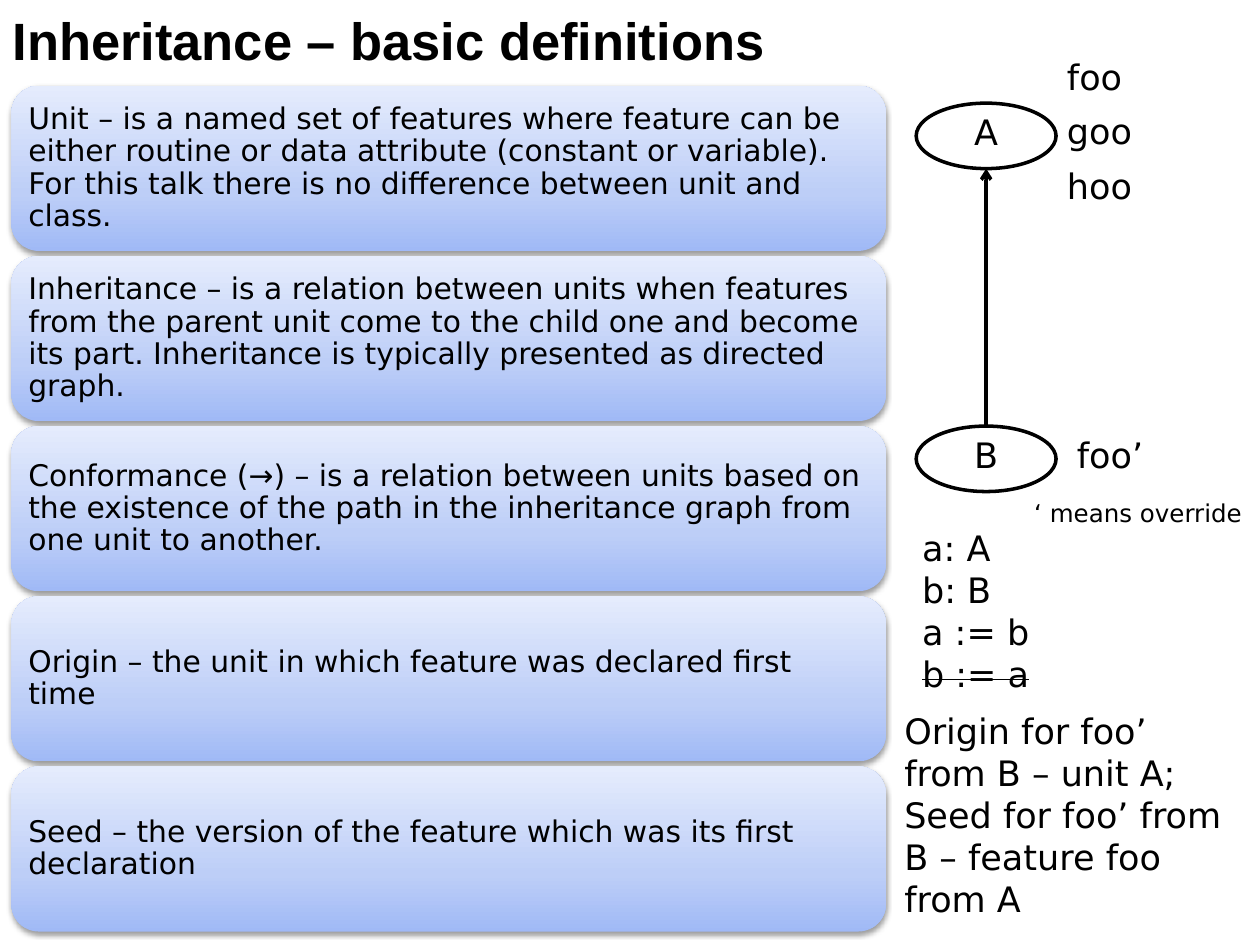
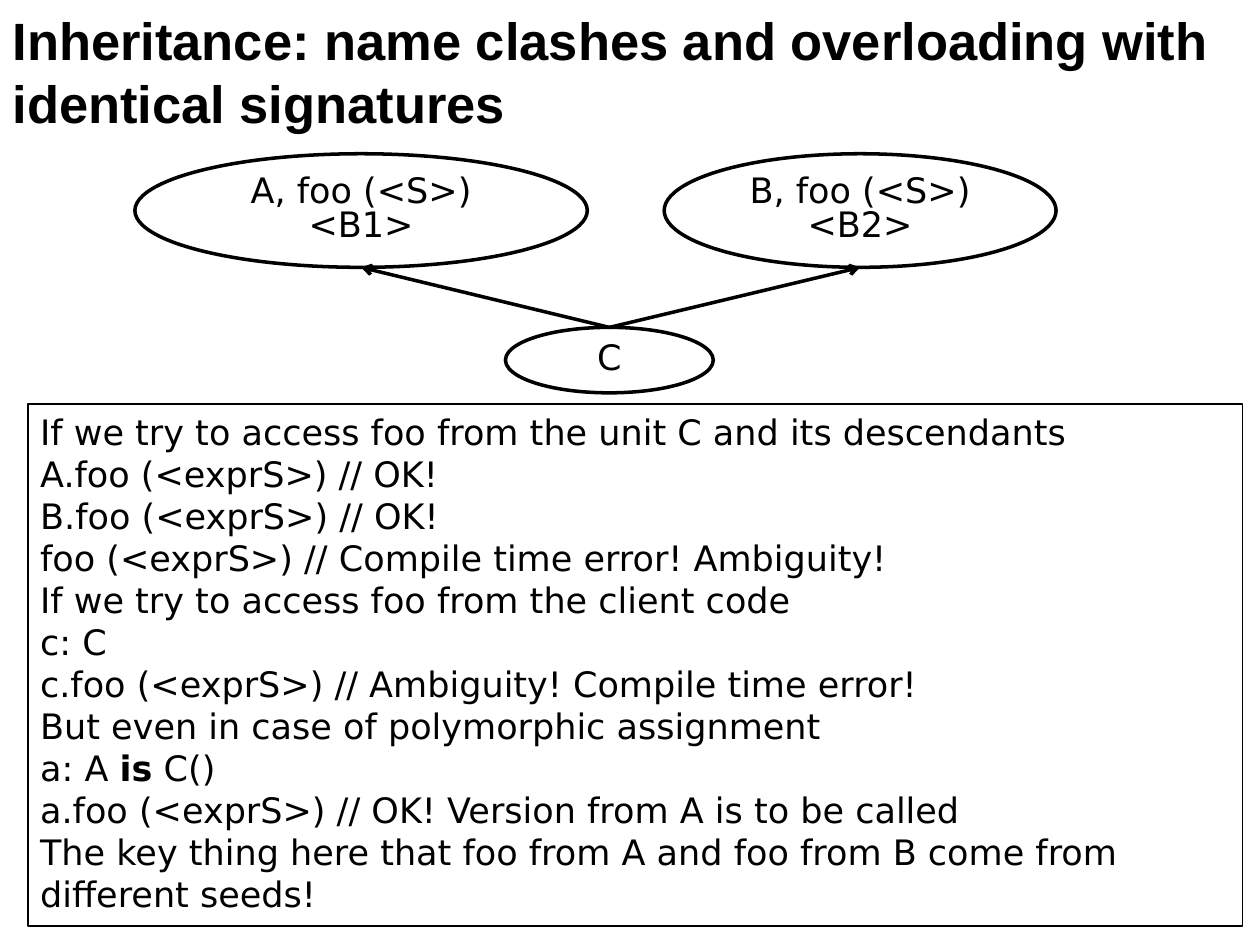
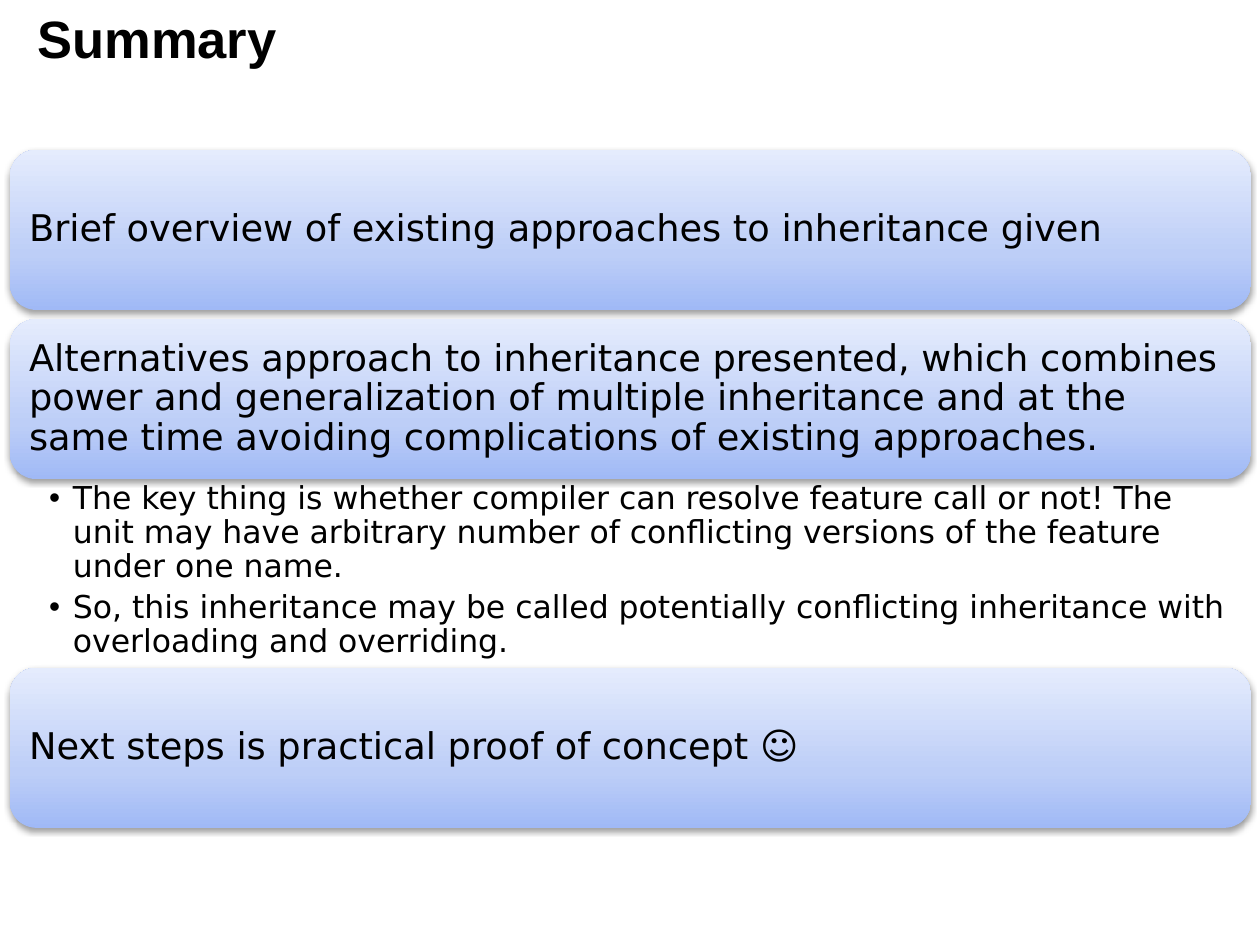
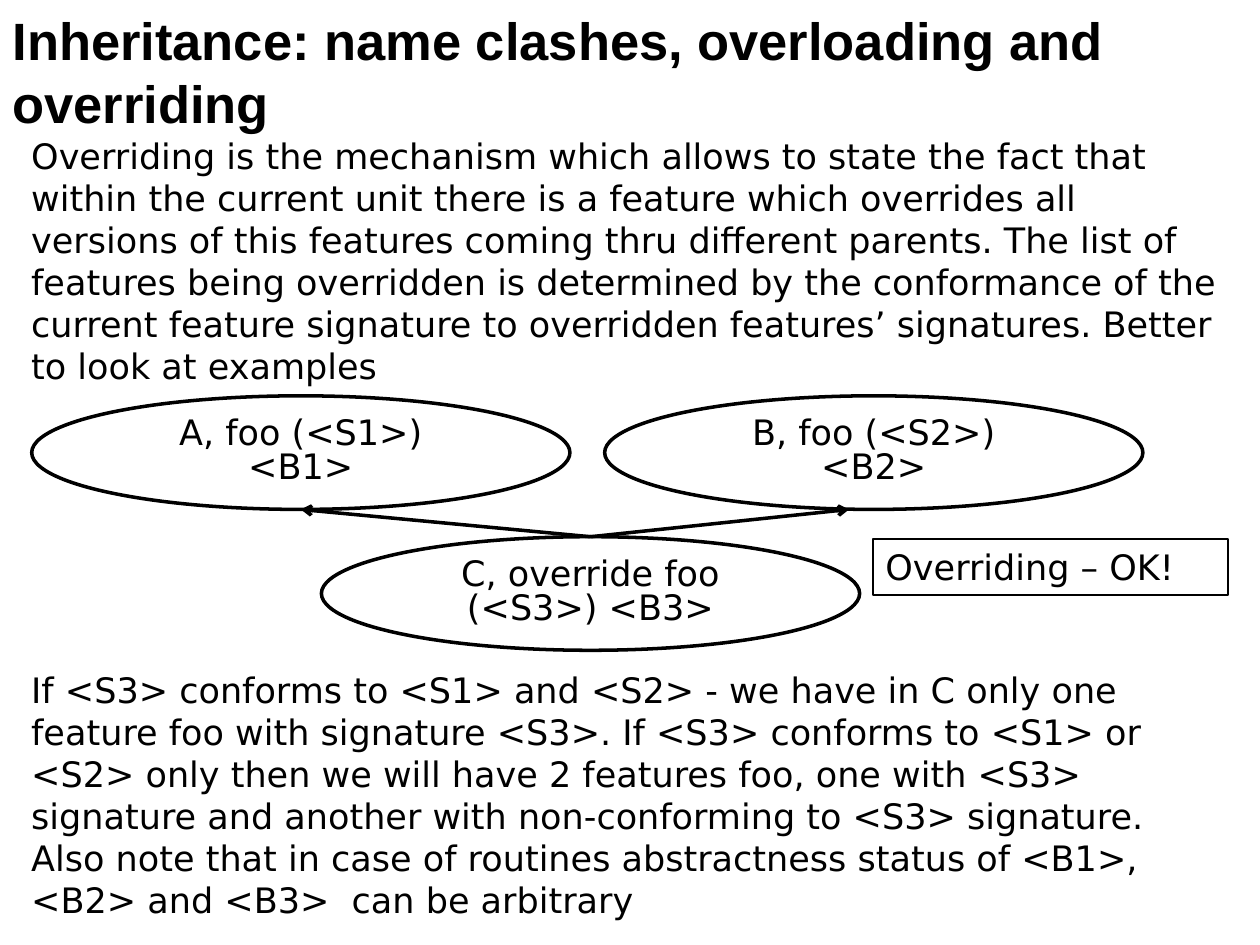
from copy import deepcopy

from lxml.etree import SubElement
from pptx import Presentation
from pptx.dml.color import RGBColor
from pptx.enum.shapes import MSO_CONNECTOR, MSO_SHAPE as Preset
from pptx.enum.text import MSO_ANCHOR as Anchor, MSO_AUTO_SIZE as AutoSize, PP_ALIGN as Align
from pptx.oxml.ns import qn
from pptx.util import Cm, Pt

BLACK = RGBColor(0x00, 0x00, 0x00)
CARD_STOPS = (
    (0, RGBColor(0xA0, 0xB9, 0xF6)),
    (0.35, RGBColor(0xBD, 0xCE, 0xF7)),
    (1, RGBColor(0xE5, 0xEC, 0xFD)),
)


class Lecture:
    title_font = "Arial"
    body_font = "DejaVu Sans"
    title_size = 30
    body_size = 20
    list_layout = 1
    title_layout = 5

    def __init__(self):
        self.deck = Presentation()
        self.deck.slide_width, self.deck.slide_height = Cm(25.4), Cm(19.05)
        self.slide = None

    def place(self, shape, left, top, width, height):
        shape.left, shape.top = Cm(left), Cm(top)
        shape.width, shape.height = Cm(width), Cm(height)

    def set_lines(self, frame, lines, size=body_size, spacing=1.0, align=Align.LEFT, anchor=Anchor.TOP):
        frame.word_wrap = True
        frame.auto_size = AutoSize.NONE
        frame.vertical_anchor = anchor
        for index, line in enumerate(lines):
            para = frame.add_paragraph() if index else frame.paragraphs[0]
            para.alignment = align
            para.line_spacing = spacing
            para.space_before = Pt(0)
            for part, text in enumerate(line.split("**")):
                span = para.add_run()
                span.text = text
                span.font.name = self.body_font
                span.font.size = Pt(size)
                span.font.color.rgb = BLACK
                span.font.bold = part % 2 == 1

    def new_slide(self, title, left=0, top=0.03, height=1.55, layout=title_layout):
        self.slide = self.deck.slides.add_slide(self.deck.slide_layouts[layout])
        box = self.slide.shapes.title
        self.place(box, left, top, 25.4 - left, height)
        frame = box.text_frame
        frame.text = title
        frame.auto_size = AutoSize.NONE
        frame.vertical_anchor = Anchor.TOP
        para = frame.paragraphs[0]
        para.alignment = Align.LEFT
        font = para.runs[0].font
        font.name = self.title_font
        font.size = Pt(self.title_size)
        font.bold = True
        font.color.rgb = BLACK

    def text(self, lines, left, top, width, height, size=body_size):
        box = self.slide.shapes.add_textbox(Cm(left), Cm(top), Cm(width), Cm(height))
        self.set_lines(box.text_frame, lines, size)
        return box

    def shape(self, preset, left, top, width, height):
        shape = self.slide.shapes.add_shape(preset, Cm(left), Cm(top), Cm(width), Cm(height))
        shape.shadow.inherit = False
        return shape

    def outlined(self, preset, width_pt, *bounds):
        shape = self.shape(preset, *bounds)
        shape.fill.background()
        shape.line.color.rgb = BLACK
        shape.line.width = Pt(width_pt)
        return shape

    def frame(self, lines, *bounds):
        self.set_lines(self.outlined(Preset.RECTANGLE, 1, *bounds).text_frame, lines)

    def unit(self, name, *bounds):
        oval = self.outlined(Preset.OVAL, 2, *bounds)
        self.set_lines(oval.text_frame, [name], spacing=0.8, align=Align.CENTER, anchor=Anchor.MIDDLE)
        return oval

    def card(self, text, left, top, width, height, size, margin):
        card = self.shape(Preset.ROUNDED_RECTANGLE, left, top, width, height)
        card.line.fill.background()
        card.fill.gradient()
        card.fill.gradient_angle = 90
        properties = card._element.spPr
        stops = properties.find(".//" + qn("a:gsLst"))
        stops.append(deepcopy(stops[0]))
        for stop, (position, color) in zip(card.fill.gradient_stops, CARD_STOPS):
            stop.position = position
            stop.color.rgb = color
        shadow = SubElement(
            properties.find(qn("a:effectLst")), qn("a:outerShdw"),
            blurRad="40000", dist="20000", dir="5400000", rotWithShape="0",
        )
        shade = SubElement(shadow, qn("a:srgbClr"), val=str(BLACK))
        SubElement(shade, qn("a:alpha"), val="38000")
        frame = card.text_frame
        frame.margin_left = frame.margin_right = Cm(margin)
        frame.margin_top = frame.margin_bottom = Cm(margin)
        self.set_lines(frame, [text], size, spacing=0.9, anchor=Anchor.MIDDLE)

    def inherits(self, child, parent, shift=0):
        line = self.slide.shapes.add_connector(
            MSO_CONNECTOR.STRAIGHT, child.left, child.top,
            parent.left + parent.width // 2 + Cm(shift), parent.top + parent.height,
        )
        line.begin_connect(child, 0)
        line.line.color.rgb = BLACK
        line.line.width = Pt(2)
        properties = line._element.spPr
        SubElement(properties.find(qn("a:ln")), qn("a:tailEnd"), type="arrow")
        SubElement(properties, qn("a:effectLst"))

    def bullets(self, lines, left, top, width, height, size):
        body = self.slide.placeholders[1]
        self.place(body, left, top, width, height)
        frame = body.text_frame
        frame.margin_left, frame.margin_right = Cm(0.79), Cm(0.36)
        frame.margin_top = frame.margin_bottom = Cm(0.08)
        self.set_lines(frame, lines, size, spacing=0.9)
        for para in frame.paragraphs:
            para.space_after = Pt(size * 0.2)
            properties = para._p.get_or_add_pPr()
            properties.set("marL", str(Cm(0.48)))
            properties.set("indent", str(Cm(-0.48)))
            SubElement(properties, qn("a:buChar"), char="•")


def definitions(lecture):
    lecture.new_slide("Inheritance – basic definitions")
    terms = (
        "Unit – is a named set of features where feature can be either routine or data attribute "
        "(constant or variable). For this talk there is no difference between unit and class.",
        "Inheritance – is a relation between units when features from the parent unit come to the "
        "child one and become its part. Inheritance is typically presented as directed graph.",
        "Conformance (→) – is a relation between units based on the existence of the path in the "
        "inheritance graph from one unit to another.",
        "Origin – the unit in which feature was declared first time",
        "Seed – the version of the feature which was its first declaration",
    )
    for row, term in enumerate(terms):
        lecture.card(term, 0.23, 1.73 + 3.43 * row, 17.63, 3.33, 17, 0.18)
    parent = lecture.unit("A", 18.47, 2.08, 2.82, 1.32)
    child = lecture.unit("B", 18.47, 8.59, 2.82, 1.32)
    lecture.inherits(child, parent)
    for row, feature in enumerate(("foo", "goo", "hoo")):
        lecture.text([feature], 21.26, 0.99 + 1.1 * row, 1.96, 1.12)
    lecture.text(["foo’"], 21.46, 8.61, 2.57, 1.12)
    lecture.text(
        ["Origin for foo’ from B – unit A;", "Seed for foo’ from B – feature foo from A"],
        17.98, 14.17, 7.06, 4.52,
    )
    code = lecture.text(["a: A", "b: B", "a := b", "b := a"], 18.34, 10.49, 4.32, 3.68)
    rejected = code.text_frame.paragraphs[-1].runs[0]
    rejected.font._element.set("strike", "sngStrike")
    lecture.text(["‘ means override"], 20.6, 9.91, 4.8, 0.86, 14)


def identical_signatures(lecture):
    lecture.new_slide(
        "Inheritance: name clashes and overloading with identical signatures", height=2.62
    )
    first = lecture.unit("A, foo (<S>) <B1>", 2.72, 3.1, 9.12, 2.29)
    second = lecture.unit("B, foo (<S>) <B2>", 13.39, 3.1, 7.9, 2.29)
    child = lecture.unit("C", 10.19, 6.6, 4.19, 1.32)
    for parent in (first, second):
        lecture.inherits(child, parent)
    lecture.frame(
        (
            "If we try to access foo from the unit C and its descendants",
            "A.foo (<exprS>) // OK!",
            "B.foo (<exprS>) // OK!",
            "foo (<exprS>) // Compile time error! Ambiguity!",
            "If we try to access foo from the client code",
            "c: C",
            "c.foo (<exprS>) // Ambiguity! Compile time error!",
            "But even in case of polymorphic assignment",
            "a: A **is** C()",
            "a.foo (<exprS>) // OK! Version from A is to be called",
            "The key thing here that foo from A and foo from B come from different seeds!",
        ),
        0.56, 8.15, 24.49, 10.52,
    )


def summary(lecture):
    lecture.new_slide("Summary", left=0.5, top=0, layout=lecture.list_layout)
    cards = (
        (3.02, "Brief overview of existing approaches to inheritance given"),
        (6.43, "Alternatives approach to inheritance presented, which combines power and "
               "generalization of multiple inheritance and at the same time avoiding "
               "complications of existing approaches."),
        (13.46, "Next steps is practical proof of concept ☺"),
    )
    for top, text in cards:
        lecture.card(text, 0.2, top, 25.02, 3.23, 21, 0.23)
    lecture.bullets(
        (
            "The key thing is whether compiler can resolve feature call or not! The unit may have "
            "arbitrary number of conflicting versions of the feature under one name.",
            "So, this inheritance may be called potentially conflicting inheritance with "
            "overloading and overriding.",
        ),
        0.2, 9.65, 25.02, 3.81, 18,
    )


def overriding(lecture):
    lecture.new_slide("Inheritance: name clashes, overloading and overriding")
    lecture.text(
        ["Overriding is the mechanism which allows to state the fact that within the current unit "
         "there is a feature which overrides all versions of this features coming thru different "
         "parents. The list of features being overridden is determined by the conformance of the "
         "current feature signature to overridden features’ signatures. Better to look at examples"],
        0.38, 2.59, 24.61, 5.38,
    )
    oval = (10.85, 2.29)
    first = lecture.unit("A, foo (<S1>) <B1>", 0.64, 7.98, *oval)
    second = lecture.unit("B, foo (<S2>) <B2>", 12.19, 7.98, *oval)
    child = lecture.unit("C, override foo (<S3>) <B3>", 6.48, 10.82, *oval)
    lecture.inherits(child, first)
    lecture.inherits(child, second, shift=-0.5)
    lecture.frame(["Overriding – OK!"], 17.6, 10.87, 7.16, 1.12)
    lecture.text(
        ["If <S3> conforms to <S1> and <S2> - we have in C only one feature foo with signature "
         "<S3>. If <S3> conforms to <S1> or <S2> only then we will have 2 features foo, one with "
         "<S3> signature and another with non-conforming to <S3> signature. Also note that in case "
         "of routines abstractness status of <B1>, <B2> and <B3>  can be arbitrary"],
        0.38, 13.36, 24.61, 5.38,
    )


def main():
    lecture = Lecture()
    for build in (definitions, identical_signatures, summary, overriding):
        build(lecture)
    lecture.deck.save("out.pptx")


if __name__ == "__main__":
    main()
